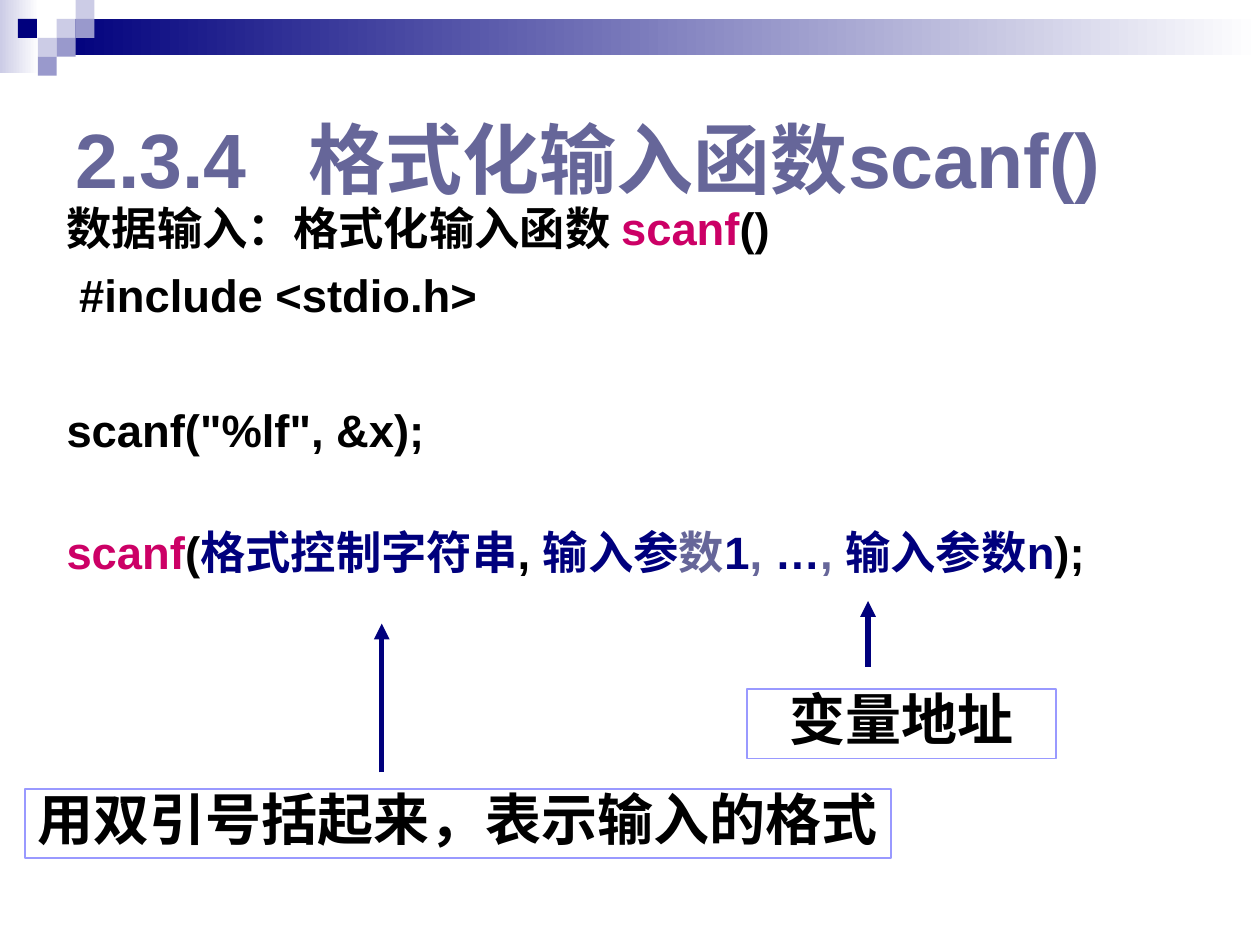
"""Build the slide on the formatted input function scanf()."""
from dataclasses import dataclass

import pptx
import pptx.dml.color
import pptx.enum.dml
import pptx.enum.shapes
import pptx.enum.text
import pptx.oxml
import pptx.oxml.ns
import pptx.util


@dataclass(frozen=True)
class Theme:
    latin: str = "Arial"
    asian: str = "Noto Sans CJK SC"
    black: str = "000000"
    white: str = "FFFFFF"
    navy: str = "00007D"
    slate: str = "666699"
    rose: str = "CC0066"
    lavender: str = "CCCCE6"
    violet: str = "9999CC"
    border: str = "9999FF"
    title_size: float = 44
    body_size: float = 25.9
    callout_size: float = 32


THEME = Theme()
WIDTH, HEIGHT = 10, 7.5
CELL = 0.15

TITLE = "2.3.4\t格式化输入函数scanf()"
TITLE_AREA = (0.05, 0.5 / HEIGHT, 0.9, 0.2)
TITLE_TAB = 1.85

BODY_AREA = (0.043, 1.54 / HEIGHT, 0.937, 3.46 / HEIGHT)
BODY = [
    (0, [("数据输入：格式化输入函数 ", THEME.black), ("scanf", THEME.rose), ("()", THEME.black)]),
    (7, [(" #include <stdio.h>", THEME.black)]),
    (46, [('scanf("%lf", &x);', THEME.black)]),
    (39, [
        ("scanf", THEME.rose), ("(", THEME.black), ("格式控制字符串", THEME.navy),
        (", ", THEME.black), ("输入参", THEME.navy), ("数", THEME.slate),
        ("1", THEME.navy), (", ", THEME.slate), ("…", THEME.navy),
        (", ", THEME.slate), ("输入参数n", THEME.navy), (");", THEME.black),
    ]),
]

CALLOUTS = [
    ("用双引号括起来，表示输入的格式", (0.02, 6.26 / HEIGHT, 0.687, 0.55 / HEIGHT)),
    ("变量地址", (0.593, 5.47 / HEIGHT, 0.245, 0.55 / HEIGHT)),
]
ARROWS = [(0.303, 6.13 / HEIGHT, 4.95 / HEIGHT), (0.689, 5.29 / HEIGHT, 4.77 / HEIGHT)]

BANDS = [
    ((0, 0, 0.31, 0.58), THEME.lavender),
    ((3 * CELL, CELL, WIDTH - 3 * CELL, 0.29), THEME.navy),
]
SQUARES = [
    (3, 1, THEME.lavender), (4, 0, THEME.lavender), (4, 1, THEME.violet),
    (2, 2, THEME.lavender), (0.95, 1, THEME.navy), (3, 2, THEME.violet),
    (2, 3, THEME.violet),
]


def color(value):
    return pptx.dml.color.RGBColor.from_string(value)


def inches(*lengths):
    return [pptx.util.Inches(length) for length in lengths]


def share(left, top, width, height):
    return inches(left * WIDTH, top * HEIGHT, width * WIDTH, height * HEIGHT)


def add_span(para, text, size, shade, latin=THEME.latin):
    span = para.add_run()
    span.text = text
    span.font.name = latin
    span.font.size = pptx.util.Pt(size)
    span.font.bold = True
    span.font.color.rgb = color(shade)
    asian = pptx.oxml.parse_xml(
        f'<a:ea {pptx.oxml.ns.nsdecls("a")} typeface="{THEME.asian}"/>')
    span.font._element.find(pptx.oxml.ns.qn("a:latin")).addnext(asian)


def add_block(page, bounds):
    block = page.shapes.add_shape(pptx.enum.shapes.MSO_SHAPE.RECTANGLE, *inches(*bounds))
    block.shadow.inherit = False
    block.line.fill.background()
    return block


def add_decoration(page):
    for bounds, shade in BANDS:
        fill = add_block(page, bounds).fill
        fill.gradient()
        fill.gradient_angle = 0
        for stop, value, position in zip(fill.gradient_stops, (shade, THEME.white), (0, 1)):
            stop.color.rgb = color(value)
            stop.position = position
    for column, row, shade in SQUARES:
        fill = add_block(page, (column * CELL, row * CELL, CELL, CELL)).fill
        fill.solid()
        fill.fore_color.rgb = color(shade)


def add_title(page):
    title = page.shapes.title
    title.left, title.top, title.width, title.height = share(*TITLE_AREA)
    frame = title.text_frame
    frame.auto_size = pptx.enum.text.MSO_AUTO_SIZE.NONE
    frame.vertical_anchor = pptx.enum.text.MSO_ANCHOR.MIDDLE
    para = frame.paragraphs[0]
    para.alignment = pptx.enum.text.PP_ALIGN.LEFT
    para._p.get_or_add_pPr().append(pptx.oxml.parse_xml(
        f'<a:tabLst {pptx.oxml.ns.nsdecls("a")}>'
        f'<a:tab pos="{pptx.util.Inches(TITLE_TAB)}" algn="l"/></a:tabLst>'))
    add_span(para, TITLE, THEME.title_size, THEME.slate)


def add_body(page):
    frame = page.shapes.add_textbox(*share(*BODY_AREA)).text_frame
    frame.word_wrap = True
    for index, (gap, spans) in enumerate(BODY):
        para = frame.add_paragraph() if index else frame.paragraphs[0]
        para.space_before = pptx.util.Pt(gap)
        for text, shade in spans:
            add_span(para, text, THEME.body_size, shade)


def add_callout(page, text, area):
    box = page.shapes.add_textbox(*share(*area))
    box.line.color.rgb = color(THEME.border)
    box.line.width = pptx.util.Pt(1)
    frame = box.text_frame
    frame.word_wrap = False
    frame.margin_left = frame.margin_right = pptx.util.Inches(0.05)
    frame.vertical_anchor = pptx.enum.text.MSO_ANCHOR.MIDDLE
    para = frame.paragraphs[0]
    para.alignment = pptx.enum.text.PP_ALIGN.CENTER
    para.line_spacing = 0.84
    add_span(para, text, THEME.callout_size, THEME.black, THEME.asian)


def add_arrow(page, across, start, end):
    arrow = page.shapes.add_connector(
        pptx.enum.shapes.MSO_CONNECTOR.STRAIGHT,
        *inches(across * WIDTH, start * HEIGHT, across * WIDTH, end * HEIGHT))
    arrow.line.color.rgb = color(THEME.navy)
    arrow.line.width = pptx.util.Pt(3)
    namespace = pptx.oxml.ns.nsdecls("a")
    arrow.line._get_or_add_ln().append(
        pptx.oxml.parse_xml(f'<a:tailEnd {namespace} type="triangle"/>'))
    arrow._element.spPr.append(pptx.oxml.parse_xml(f"<a:effectLst {namespace}/>"))


def main():
    deck = pptx.Presentation()
    deck.slide_width, deck.slide_height = inches(WIDTH, HEIGHT)
    page = deck.slides.add_slide(deck.slide_layouts[5])
    add_decoration(page)
    add_title(page)
    add_body(page)
    for text, area in CALLOUTS:
        add_callout(page, text, area)
    for across, start, end in ARROWS:
        add_arrow(page, across, start, end)
    deck.save("out.pptx")


if __name__ == "__main__":
    main()
